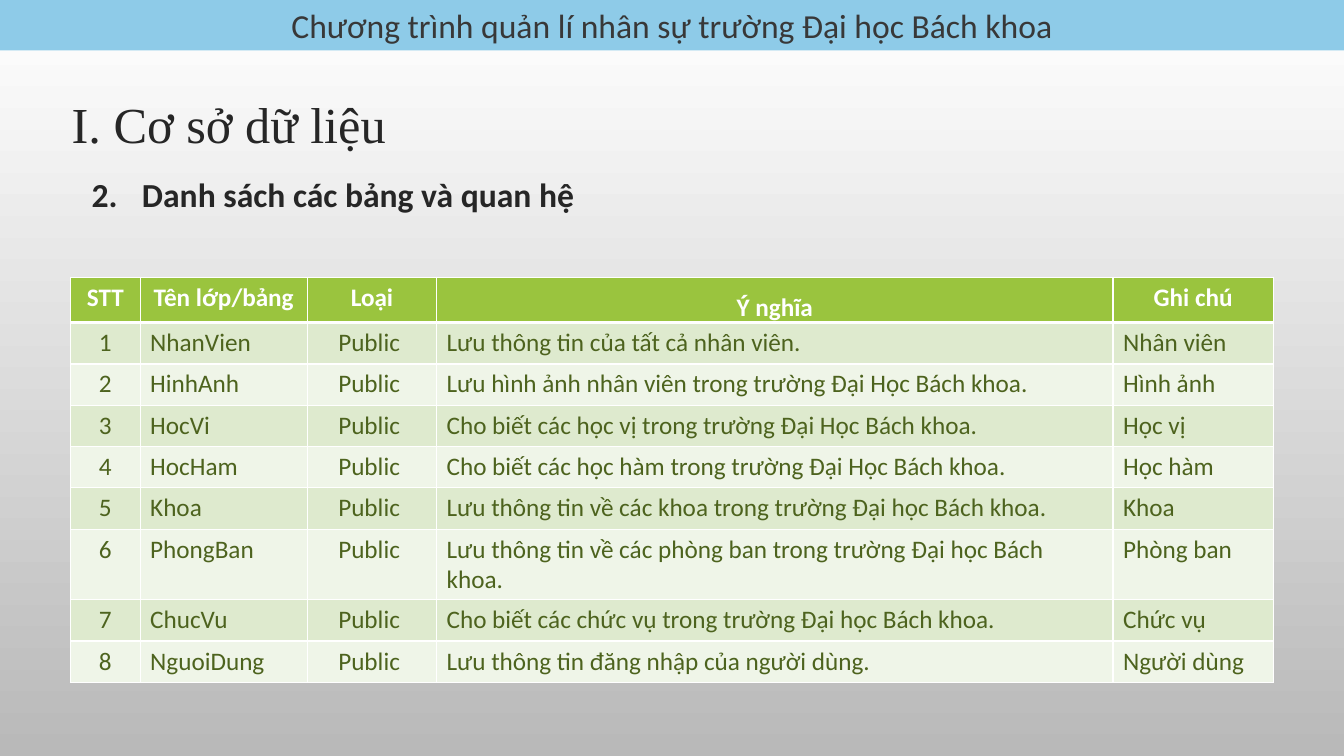
from dataclasses import dataclass

from lxml.etree import SubElement
from pptx import Presentation
from pptx.dml.color import RGBColor
from pptx.enum.shapes import MSO_SHAPE
from pptx.enum.text import MSO_ANCHOR, MSO_AUTO_SIZE, PP_ALIGN
from pptx.oxml.ns import qn
from pptx.util import Inches, Pt


@dataclass(frozen=True)
class Theme:
    background: tuple = ("FFFFFF", "B9B9B9")
    banner: str = "8ECBE8"
    banner_text: str = "383838"
    heading_text: str = "262626"
    header_fill: str = "9AC43E"
    header_text: str = "FFFFFF"
    body_text: str = "4D631E"
    bands: tuple = ("DEEACE", "EFF5E8")
    border: str = "FFFFFF"
    body_font: str = "Calibri"
    title_font: str = "Times New Roman"
    title_size: int = 36
    heading_size: int = 24
    table_size: int = 18
    thin_line: int = 1
    thick_line: int = 3


HEADERS = ("STT", "Tên lớp/bảng", "Loại", "Ý nghĩa", "Ghi chú")
MEANING_COLUMN = HEADERS.index("Ý nghĩa")
COLUMN_WIDTHS = (0.69, 1.66, 1.28, 6.71, 1.59)
COLUMN_ALIGNMENTS = (PP_ALIGN.CENTER, PP_ALIGN.LEFT, PP_ALIGN.CENTER,
                     PP_ALIGN.LEFT, PP_ALIGN.LEFT)
ROW_HEIGHT = 0.41
DATABASE_TABLES = (
    ("NhanVien", "Lưu thông tin của tất cả nhân viên.", "Nhân viên"),
    ("HinhAnh", "Lưu hình ảnh nhân viên trong trường Đại Học Bách khoa.", "Hình ảnh"),
    ("HocVi", "Cho biết các học vị trong trường Đại Học Bách khoa.", "Học vị"),
    ("HocHam", "Cho biết các học hàm trong trường Đại Học Bách khoa.", "Học hàm"),
    ("Khoa", "Lưu thông tin về các khoa trong trường Đại học Bách khoa.", "Khoa"),
    ("PhongBan", "Lưu thông tin về các phòng ban trong trường Đại học Bách khoa.",
     "Phòng ban"),
    ("ChucVu", "Cho biết các chức vụ trong trường Đại học Bách khoa.", "Chức vụ"),
    ("NguoiDung", "Lưu thông tin đăng nhập của người dùng.", "Người dùng"),
)


class SlideBuilder:
    def __init__(self, slide, theme):
        self.slide = slide
        self.theme = theme

    def background(self):
        fill = self.slide.background.fill
        fill.gradient()
        fill.gradient_angle = 270
        for position, (stop, color) in enumerate(
                zip(fill.gradient_stops, self.theme.background)):
            stop.position = position
            stop.color.rgb = RGBColor.from_string(color)

    def add_text(self, frame, text, size, color, font=None, bold=False,
                 align=PP_ALIGN.LEFT):
        """Put one formatted run in the first paragraph and return the paragraph."""
        frame.word_wrap = True
        paragraph = frame.paragraphs[0]
        paragraph.alignment = align
        run = paragraph.add_run()
        run.text = text
        run.font.name = font or self.theme.body_font
        run.font.size = Pt(size)
        run.font.bold = bold
        run.font.color.rgb = RGBColor.from_string(color)
        return paragraph

    def banner(self, text, left, top, width, height):
        shape = self.slide.shapes.add_shape(
            MSO_SHAPE.RECTANGLE, Inches(left), Inches(top), Inches(width), Inches(height))
        shape.shadow.inherit = False
        shape.fill.solid()
        shape.fill.fore_color.rgb = RGBColor.from_string(self.theme.banner)
        shape.line.fill.background()
        self.add_text(shape.text_frame, text, self.theme.heading_size,
                      self.theme.banner_text, align=PP_ALIGN.CENTER)

    def title(self, text, left, top, width, height):
        title = self.slide.shapes.title
        title.left, title.top = Inches(left), Inches(top)
        title.width, title.height = Inches(width), Inches(height)
        title.text_frame.auto_size = MSO_AUTO_SIZE.NONE
        title.text_frame.vertical_anchor = MSO_ANCHOR.TOP
        self.add_text(title.text_frame, text, self.theme.title_size,
                      self.theme.heading_text, self.theme.title_font)

    def numbered_heading(self, number, text, left, top, width, height):
        box = self.slide.shapes.add_textbox(
            Inches(left), Inches(top), Inches(width), Inches(height))
        paragraph = self.add_text(box.text_frame, text, self.theme.heading_size,
                                  self.theme.heading_text, bold=True)
        properties = paragraph._p.get_or_add_pPr()
        properties.set("marL", str(Inches(0.5)))
        properties.set("indent", str(-Inches(0.5)))
        SubElement(properties, qn("a:buFont"), typeface="+mj-lt")
        SubElement(properties, qn("a:buAutoNum"), type="arabicPeriod", startAt=str(number))

    def borders(self, cell, top, bottom):
        properties = cell._tc.get_or_add_tcPr()
        thin = self.theme.thin_line
        for side, width in (("L", thin), ("R", thin), ("T", top), ("B", bottom)):
            line = SubElement(properties, qn(f"a:ln{side}"), w=str(Pt(width)))
            fill = SubElement(line, qn("a:solidFill"))
            SubElement(fill, qn("a:srgbClr"), val=self.theme.border)

    def table(self, rows, left, top):
        theme = self.theme
        frame = self.slide.shapes.add_table(
            len(rows), len(COLUMN_WIDTHS), Inches(left), Inches(top),
            Inches(sum(COLUMN_WIDTHS)), Inches(ROW_HEIGHT * len(rows)))
        table = frame.table
        table.horz_banding = False
        for column, width in zip(table.columns, COLUMN_WIDTHS):
            column.width = Inches(width)
        for row_index, values in enumerate(rows):
            table.rows[row_index].height = Inches(ROW_HEIGHT)
            is_header = row_index == 0
            fill = theme.header_fill if is_header else theme.bands[(row_index - 1) % 2]
            color = theme.header_text if is_header else theme.body_text
            top_line = theme.thick_line if row_index == 1 else theme.thin_line
            bottom_line = theme.thick_line if is_header else theme.thin_line
            for column_index, value in enumerate(values):
                cell = table.cell(row_index, column_index)
                self.borders(cell, top_line, bottom_line)
                cell.fill.solid()
                cell.fill.fore_color.rgb = RGBColor.from_string(fill)
                align = PP_ALIGN.CENTER if is_header else COLUMN_ALIGNMENTS[column_index]
                self.add_text(cell.text_frame, value, theme.table_size, color,
                              bold=is_header, align=align)
        meaning_header = table.cell(0, MEANING_COLUMN)
        meaning_header.margin_left = meaning_header.margin_right = Inches(0.07)
        meaning_header.margin_top = meaning_header.margin_bottom = 0
        meaning_header.text_frame.paragraphs[0].line_spacing = 1.5


def main():
    presentation = Presentation()
    presentation.slide_width = Inches(13.33)
    presentation.slide_height = Inches(7.5)
    title_only = presentation.slide_layouts.get_by_name("Title Only")
    builder = SlideBuilder(presentation.slides.add_slide(title_only), Theme())

    builder.background()
    builder.banner("Chương trình quản lí nhân sự trường Đại học Bách khoa", 0, 0, 13.33, 0.5)
    builder.title("I. Cơ sở dữ liệu", 0.61, 0.87, 3.6, 0.71)
    builder.numbered_heading(2, "Danh sách các bảng và quan hệ", 0.81, 1.68, 6.19, 0.5)
    body = [(str(number), name, "Public ", meaning, note)
            for number, (name, meaning, note) in enumerate(DATABASE_TABLES, start=1)]
    builder.table([HEADERS, *body], 0.7, 2.75)

    presentation.save("out.pptx")


if __name__ == "__main__":
    main()
